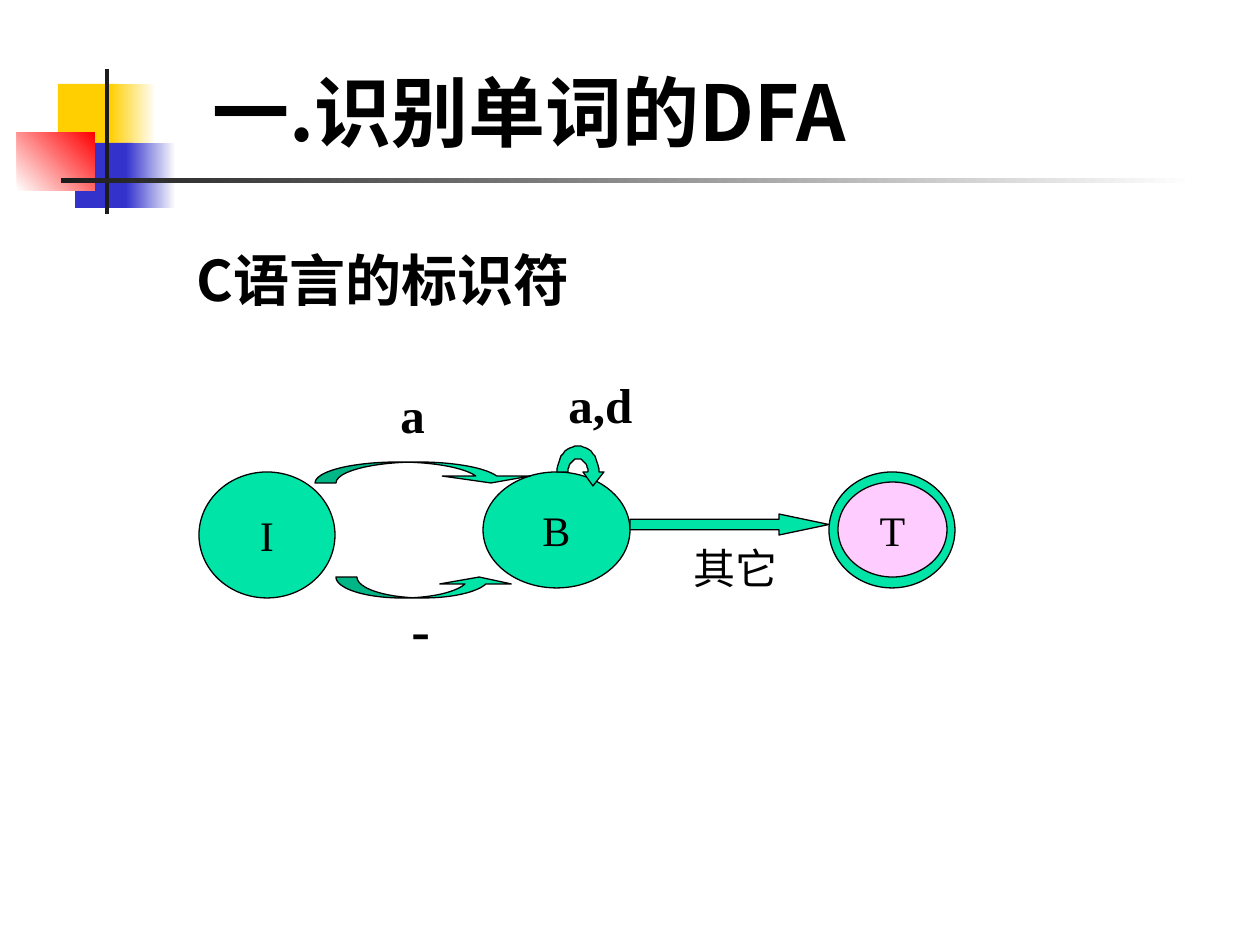
import math

import pptx
import pptx.dml.color
import pptx.enum.shapes
import pptx.enum.text
import pptx.util

PX = 914400 / 126
SHAPE = pptx.enum.shapes.MSO_SHAPE
LATIN = "Times New Roman"
CJK = "Noto Sans CJK SC"
GREEN = "00E4A8"
BLACK = "000000"


def px(length):
    """Turn a length in px into EMU."""
    return pptx.util.Emu(round(length * PX))


def color(value):
    """Turn a hex string into a colour."""
    return pptx.dml.color.RGBColor.from_string(value)


def paint(shape, fill, outline=None):
    """Give a shape a plain fill and a thin outline or none."""
    shape.shadow.inherit = False
    shape.fill.solid()
    shape.fill.fore_color.rgb = color(fill)
    if outline:
        shape.line.color.rgb = color(outline)
        shape.line.width = pptx.util.Pt(0.75)
    else:
        shape.line.fill.background()


def add_block(slide, kind, box, fill, outline=None, adjustments=()):
    """Add a painted preset shape in a px box."""
    block = slide.shapes.add_shape(kind, *map(px, box))
    paint(block, fill, outline)
    for index, value in enumerate(adjustments):
        block.adjustments[index] = value
    return block


def add_fade(slide, box, start, end, angle=0):
    """Add a rectangle that fades from one colour to another."""
    fade = add_block(slide, SHAPE.RECTANGLE, box, start)
    fade.fill.gradient()
    fade.fill.gradient_angle = angle
    for stop, value in zip(fade.fill.gradient_stops, (start, end)):
        stop.color.rgb = color(value)


def style_text(frame, text, size, font, bold=False):
    """Write one paragraph of text and format its run."""
    frame.text = text
    run = frame.paragraphs[0].runs[0]
    run.font.size = pptx.util.Pt(size)
    run.font.name = font
    run.font.bold = bold
    run.font.color.rgb = color(BLACK)
    if font != LATIN:
        frame.paragraphs[0].line_spacing = pptx.util.Pt(size * 1.2)
        east_asian = run.font._element.makeelement(
            pptx.oxml.ns.qn("a:ea"), {"typeface": font})
        run.font._element.find(pptx.oxml.ns.qn("a:latin")).addnext(east_asian)


def add_label(slide, box, text, size, font, bold=True):
    """Add a text box in a px box."""
    label = slide.shapes.add_textbox(*map(px, box))
    label.text_frame.word_wrap = True
    style_text(label.text_frame, text, size, font, bold)


def add_state(slide, box, name="", fill=GREEN):
    """Add an automaton state as a named ellipse."""
    state = add_block(slide, SHAPE.OVAL, box, fill, BLACK)
    if name:
        frame = state.text_frame
        frame.word_wrap = False
        frame.vertical_anchor = pptx.enum.text.MSO_ANCHOR.MIDDLE
        style_text(frame, name, 24, LATIN)
        frame.paragraphs[0].alignment = pptx.enum.text.PP_ALIGN.CENTER


def add_loop(slide, left, top):
    """Add the bent arrow that leads from a state back to itself."""
    center, base, steps = left + 21, top + 26, 24

    def arc(rx, ry):
        """List the points of an upper half ellipse, left to right."""
        turns = [math.pi * step / steps for step in range(steps + 1)]
        return [(center - rx * math.cos(t), base - ry * math.sin(t)) for t in turns]

    head = [(left + 47, base), (left + 36, base + 14), (left + 26, base)]
    points = arc(21, 26) + head + arc(10, 13)[::-1]
    outline = slide.shapes.build_freeform(*points[0], scale=PX)
    outline.add_line_segments(points[1:], close=True)
    paint(outline.convert_to_shape(), GREEN, BLACK)


def draw_ornament(slide, left, top):
    """Draw the coloured squares and the crossing bars."""
    def at(x, y, width, height):
        """Place a box relative to the ornament."""
        return left + x, top + y, width, height

    add_block(slide, SHAPE.RECTANGLE, at(41, 15, 60, 65), "FFCF01")
    add_fade(slide, at(93, 15, 46, 65), "FFCF01", "FFFFFF")
    add_block(slide, SHAPE.RECTANGLE, at(58, 74, 58, 65), "3333CC")
    add_fade(slide, at(109, 74, 50, 65), "3333CC", "FFFFFF")
    add_fade(slide, at(0, 63, 78, 59), "FFFFFF", "FF0000", 45)
    add_block(slide, SHAPE.RECTANGLE, at(88, 0, 4, 145), "1C1C1C")
    add_fade(slide, at(44, 109, 1134, 5), "1C1C1C", "FFFFFF")


def draw_automaton(slide, left, top):
    """Draw the states, transitions and labels of the automaton."""
    def at(x, y, width, height):
        """Place a box relative to the automaton."""
        return left + x, top + y, width, height

    add_state(slide, at(0, 104, 136, 126), "I")
    add_state(slide, at(284, 104, 147, 116), "B")
    add_state(slide, at(630, 104, 126, 116))
    add_state(slide, at(639, 114, 109, 95), "T", "FFCCFF")

    add_block(slide, SHAPE.CURVED_DOWN_ARROW, at(116, 94, 220, 21),
              GREEN, BLACK, (2.1, 4.2, 0.33))
    add_block(slide, SHAPE.CURVED_UP_ARROW, at(137, 209, 179, 21),
              GREEN, BLACK, (1.7, 3.4, 0.33))
    add_block(slide, SHAPE.RIGHT_ARROW, at(431, 146, 199, 21),
              GREEN, BLACK, (0.5, 2.38))
    add_loop(slide, left + 358, top + 78)

    add_label(slide, at(189, 10, 63, 72), "a", 28, LATIN)
    add_label(slide, at(200, 220, 53, 81), "-", 32, LATIN)
    add_label(slide, at(357, 0, 105, 72), "a,d", 28, LATIN)
    add_label(slide, at(473, 168, 126, 63), " 其它", 24, "Noto Sans CJK JP", False)


def main():
    """Build the slide and save it."""
    deck = pptx.Presentation()
    deck.slide_width, deck.slide_height = px(1260), px(945)
    slide = deck.slides.add_slide(deck.slide_layouts[6])
    draw_ornament(slide, 17, 69)
    draw_automaton(slide, 199, 368)
    add_label(slide, (200, 58, 728, 106), "一.识别单词的DFA", 44, CJK)
    add_label(slide, (184, 239, 400, 81), "C语言的标识符", 32, CJK)
    deck.save("out.pptx")


if __name__ == "__main__":
    main()
